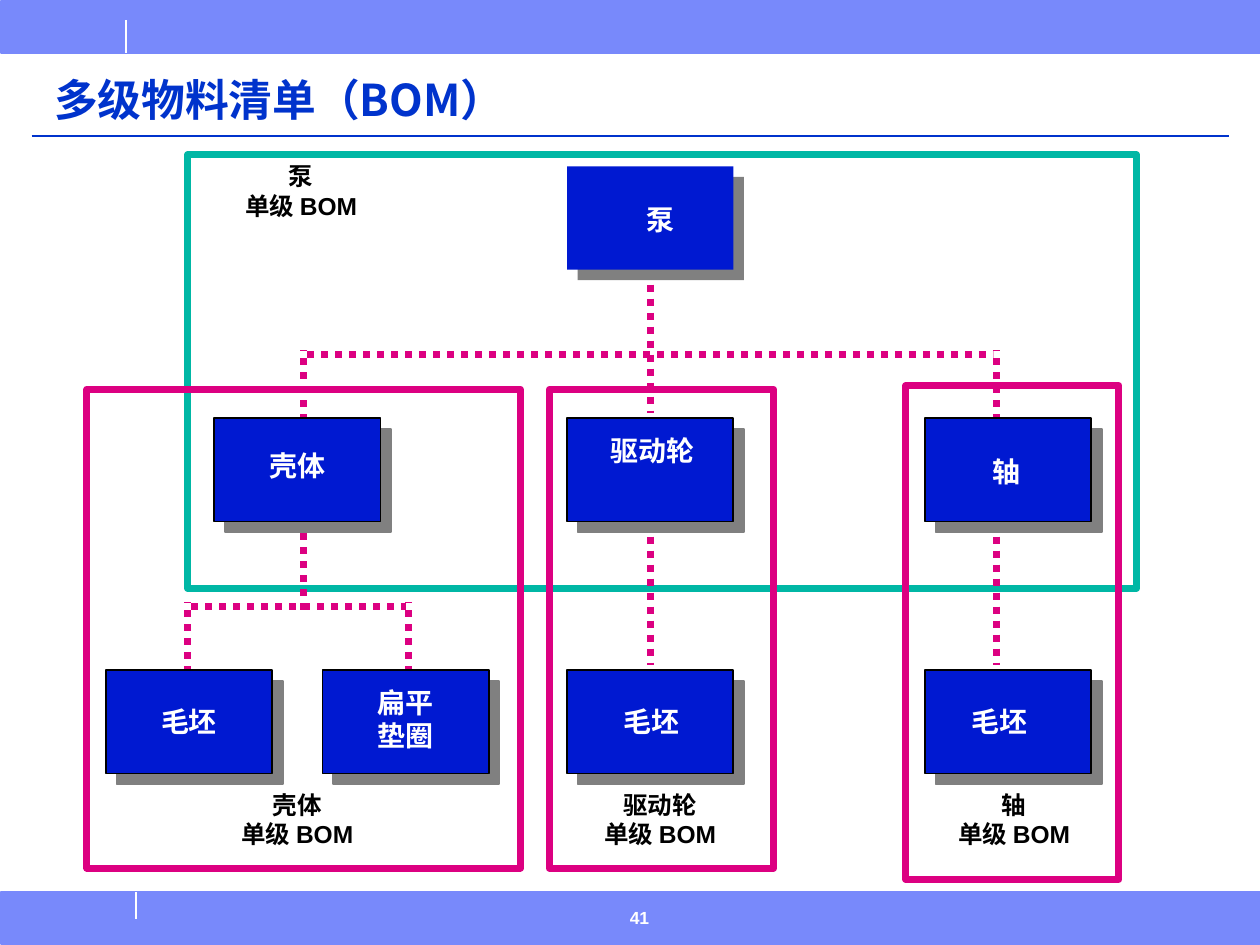
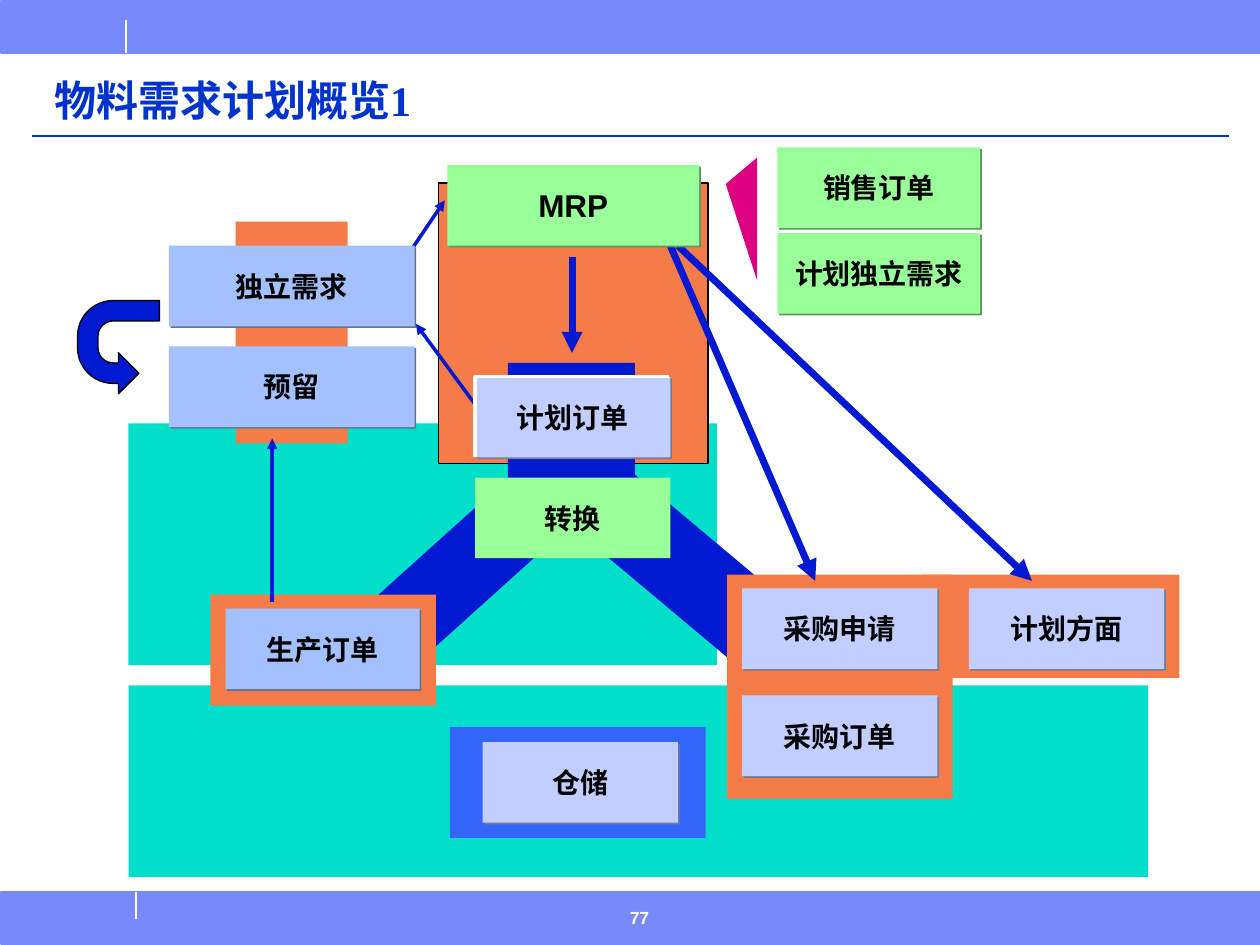
from lxml import etree
from pptx import Presentation
from pptx.dml.color import RGBColor
from pptx.enum import dml, shapes, text
from pptx.oxml import ns
from pptx.util import Inches, Pt

BAND = RGBColor(0x78, 0x89, 0xFB)
TITLE_BLUE = RGBColor(0x00, 0x33, 0xCC)
DEEP_BLUE = RGBColor(0x00, 0x19, 0xD1)
STORE_BLUE = RGBColor(0x33, 0x65, 0xFB)
SKY = RGBColor(0xA2, 0xC1, 0xFE)
LAVENDER = RGBColor(0xC1, 0xCE, 0xFF)
GREEN = RGBColor(0x99, 0xFF, 0x99)
ORANGE = RGBColor(0xF5, 0x7B, 0x49)
TURQUOISE = RGBColor(0x00, 0xDF, 0xCA)
TEAL = RGBColor(0x00, 0xB7, 0xA5)
MAGENTA = RGBColor(0xDC, 0x00, 0x81)
GREY = RGBColor(0x80, 0x80, 0x80)
BLACK = RGBColor(0, 0, 0)
WHITE = RGBColor(0xFF, 0xFF, 0xFF)

# Shadow colour that belongs to each fill of the process boxes
SHADES = {SKY: RGBColor(0x60, 0x73, 0x97), LAVENDER: RGBColor(0x73, 0x7B, 0x98),
          GREEN: RGBColor(0x5B, 0x98, 0x5B)}
CJK = "Noto Sans CJK SC"
RECT = shapes.MSO_SHAPE.RECTANGLE


# ---- Basic elements ----
def add_child(parent, tag, **attrs):
    return etree.SubElement(parent, ns.qn(tag), attrs)


def write(tf, lines, size, color, align=text.PP_ALIGN.CENTER, font="Arial"):
    tf.text = lines
    for p in tf.paragraphs:
        p.alignment = align
        p.font.size, p.font.bold, p.font.name = Pt(size), True, font
        p.font.color.rgb = color
        add_child(p.font._rPr, "a:ea", typeface=CJK)


def paint(sp, fill=None, line=None, width=1):
    sp.shadow.inherit = False
    if fill is None:
        sp.fill.background()
    else:
        sp.fill.solid()
        sp.fill.fore_color.rgb = fill
    if line is None:
        sp.line.fill.background()
    else:
        sp.line.color.rgb = line
        sp.line.width = Pt(width)


def add_shadow(sp, color, distance):
    effects = sp._element.spPr.find(ns.qn("a:effectLst"))
    shadow = add_child(effects, "a:outerShdw", dist=str(Pt(distance)),
                       dir="2700000", algn="ctr", rotWithShape="0")
    add_child(shadow, "a:srgbClr", val=str(color))


def block(s, x, y, w, h, fill=None, line=None, width=1, kind=RECT, rotation=0):
    sp = s.shapes.add_shape(kind, Inches(x), Inches(y), Inches(w), Inches(h))
    paint(sp, fill, line, width)
    sp.rotation = rotation
    return sp


def connect(s, x1, y1, x2, y2, color, width, dotted=False, arrow=False):
    cn = s.shapes.add_connector(shapes.MSO_CONNECTOR.STRAIGHT, Inches(x1),
                                Inches(y1), Inches(x2), Inches(y2))
    cn.line.color.rgb = color
    cn.line.width = Pt(width)
    if dotted:
        cn.line.dash_style = dml.MSO_LINE.ROUND_DOT
    if arrow:
        add_child(cn.line._get_or_add_ln(), "a:tailEnd", type="triangle")
    add_child(cn._element.spPr, "a:effectLst")


def outline(s, points, close, **style):
    (x, y), *rest = [(Inches(a), Inches(b)) for a, b in points]
    builder = s.shapes.build_freeform(x, y)
    builder.add_line_segments(rest, close=close)
    paint(builder.convert_to_shape(), **style)


def label(s, cx, y, lines, size, color):
    w = 1.6
    tb = s.shapes.add_textbox(Inches(cx - w / 2), Inches(y), Inches(w), Inches(0.36))
    tb.text_frame.word_wrap = True
    write(tb.text_frame, lines, size, color)


# ---- Shared frame: bands, rules, title, page number ----
def new_slide(prs, title, font, size, number):
    s = prs.slides.add_slide(prs.slide_layouts[5])
    for y in (0.01, 7.08):
        block(s, 0.01, y, 9.99, 0.41, BAND, BAND)
    connect(s, 1, 0.16, 1, 0.42, WHITE, 1)
    connect(s, 1.08, 7.08, 1.08, 7.29, WHITE, 1)
    connect(s, 0.25, 1.08, 9.75, 1.08, TITLE_BLUE, 1)

    sp = s.shapes.title
    sp.left, sp.top, sp.width, sp.height = map(Inches, (0.33, 0.5, 9.18, 0.55))
    tf = sp.text_frame
    tf.auto_size = text.MSO_AUTO_SIZE.NONE
    tf.vertical_anchor = text.MSO_ANCHOR.BOTTOM
    write(tf, title, size, TITLE_BLUE, text.PP_ALIGN.LEFT, font)
    tf.paragraphs[0].line_spacing = 0.9

    tb = s.shapes.add_textbox(Inches(4.9), Inches(7.15), Inches(0.83), Inches(0.35))
    write(tb.text_frame, number, 10, WHITE, text.PP_ALIGN.LEFT)
    return s


# ---- Slide 1: multi-level bill of materials ----
def part(s, x, y, line=BLACK):
    add_shadow(block(s, x, y, 1.32, 0.82, DEEP_BLUE, line), GREY, 8.5)


def bom_slide(prs):
    s = new_slide(prs, "多级物料清单（BOM）", CJK, 25, "41")
    housing, wheel, shaft = 2.41, 5.16, 7.91
    top, middle, bottom = 1.32, 3.32, 5.32

    def dots(*ends):
        connect(s, *ends, MAGENTA, 4, dotted=True)

    # Branches that end behind the parts
    for x, y in ((shaft, 2.78), (housing, 2.78), (1.49, 4.78), (3.24, 4.78)):
        dots(x, y + 0.56, x, y)
    block(s, 1.49, 1.23, 7.53, 3.44, line=TEAL, width=4)
    block(s, 7.19, 3.06, 1.69, 3.92, line=MAGENTA, width=4)

    # Parts
    part(s, 4.5, top, line=None)
    for x in (4.5, 1.7, 7.34):
        part(s, x, middle)
    for x in (4.5, 2.56, 0.84, 7.34):
        part(s, x, bottom)
    for cx, y, name in ((5.24, 1.56, "泵"), (2.36, 3.51, "壳体"),
                        (7.99, 3.56, "轴"), (5.18, 3.39, "驱动轮"),
                        (5.17, 5.54, "毛坯"), (3.22, 5.39, "扁平\n垫圈"),
                        (1.5, 5.54, "毛坯"), (7.93, 5.54, "毛坯")):
        label(s, cx, y, name, 16, WHITE)

    # Branches between the levels
    dots(2.44, 2.81, 7.88, 2.81)
    for x, y in ((wheel, 2.26), (wheel, 4.26), (shaft, 4.26)):
        dots(x, y, x, y + 1.02)
    dots(housing, 4.84, housing, 4.2)
    dots(1.52, 4.81, 3.22, 4.81)

    # Single-level frames and their captions
    for x, w in ((4.36, 1.78), (0.69, 3.44)):
        block(s, x, 3.09, w, 3.8, line=MAGENTA, width=4)
    for cx, y, name in ((2.39, 1.23, "泵"), (2.36, 6.22, "壳体"),
                        (5.24, 6.22, "驱动轮"), (8.05, 6.22, "轴")):
        label(s, cx, y, name + "\n单级 BOM", 14, BLACK)


# ---- Slide 2: material requirements planning ----
def step(s, x, y, w, fill, name, size=16, raised=True):
    sp = block(s, x, y, w, 0.64, fill)
    if raised:
        add_shadow(sp, SHADES[fill], 1.4)
    sp.text_frame.word_wrap = False
    sp.text_frame.vertical_anchor = text.MSO_ANCHOR.MIDDLE
    write(sp.text_frame, name, size, BLACK)


def mrp_slide(prs):
    s = new_slide(prs, "物料需求计划概览1", "Times New Roman", 24, "77")

    def arrow(x1, y1, x2, y2, width):
        connect(s, x1, y1, x2, y2, DEEP_BLUE, width, arrow=True)

    # Background areas
    block(s, 7.32, 4.56, 2.04, 0.82, ORANGE)
    block(s, 1.02, 5.44, 8.09, 1.52, TURQUOISE)
    block(s, 1.02, 3.36, 4.67, 1.92, TURQUOISE)
    block(s, 3.48, 1.45, 2.14, 2.23, ORANGE, BLACK)
    arrow(3.94, 3.44, 3.3, 2.57, 2)

    # Conversion of planned orders
    block(s, 5.22, 3.44, 0.64, 2.33, DEEP_BLUE, rotation=310)
    block(s, 5.77, 4.56, 1.79, 1.78, ORANGE)
    block(s, 3.26, 3.61, 0.61, 2.03, DEEP_BLUE, rotation=48)
    block(s, 4.03, 2.88, 1.01, 1.36, DEEP_BLUE)
    step(s, 3.77, 3.79, 1.55, GREEN, "转换", raised=False)
    step(s, 3.77, 2.99, 1.55, LAVENDER, "计划订单")
    outline(s, [(5.31, 2.99), (3.77, 2.99), (3.77, 3.63)], False, line=WHITE, width=2)
    arrow(5.29, 1.88, 6.47, 4.61, 4)

    # Requirements and reservations
    block(s, 1.87, 1.76, 0.89, 1.76, ORANGE)
    arrow(3.24, 2.02, 3.53, 1.59, 2)
    step(s, 1.34, 1.95, 1.95, SKY, "独立需求")
    step(s, 1.34, 2.75, 1.95, SKY, "预留")
    turn = block(s, 0.57, 2.43, 0.74, 0.65, DEEP_BLUE, BLACK, 0.75,
                 shapes.MSO_SHAPE.U_TURN_ARROW, 90)
    turn._element.spPr.xfrm.set("flipV", "1")

    # Production, storage and purchasing
    block(s, 3.57, 5.77, 2.03, 0.88, STORE_BLUE)
    block(s, 1.67, 4.72, 1.79, 0.88, ORANGE)
    arrow(2.16, 4.78, 2.16, 3.48, 2)
    step(s, 1.79, 4.83, 1.54, SKY, "生产订单")
    for x, y, name in ((5.89, 4.67, "采购申请"), (3.83, 5.89, "仓储"),
                       (5.89, 5.52, "采购订单"), (7.69, 4.67, "计划方面")):
        step(s, x, y, 1.55, LAVENDER, name)

    # Demand that feeds MRP
    step(s, 6.17, 1.17, 1.61, GREEN, "销售订单")
    step(s, 6.17, 1.85, 1.61, GREEN, "计划独立需求")
    outline(s, [(5.76, 1.46), (6.01, 2.23), (6.01, 1.25)], True, fill=MAGENTA)
    arrow(5.38, 1.95, 8.19, 4.61, 4)
    step(s, 3.55, 1.31, 2, GREEN, "MRP", 18)
    arrow(4.54, 2.04, 4.54, 2.8, 4)


def main():
    prs = Presentation()
    prs.slide_width, prs.slide_height = Inches(10), Inches(7.5)
    bom_slide(prs)
    mrp_slide(prs)
    prs.save("out.pptx")


if __name__ == "__main__":
    main()
